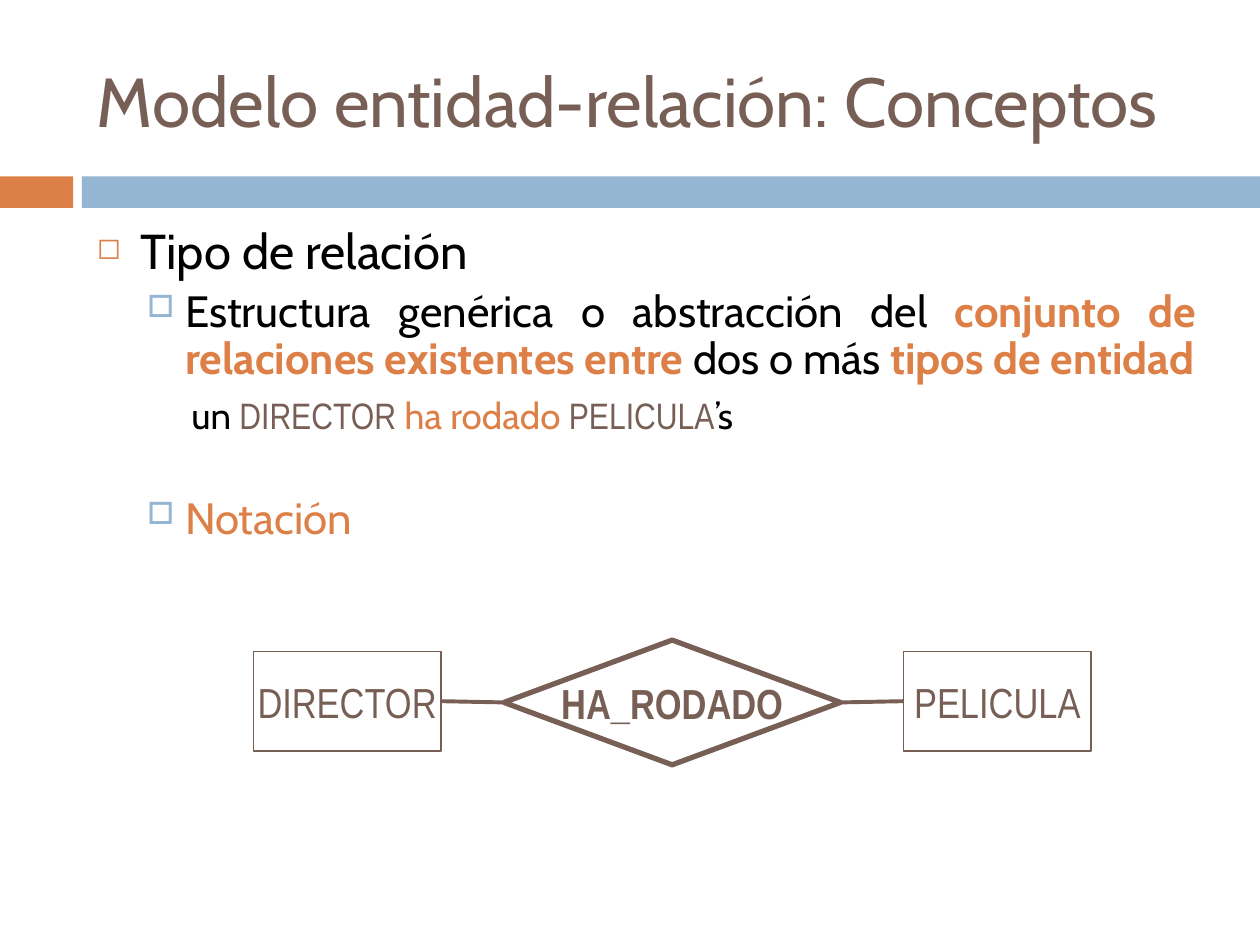
"""Build the slide on relationship types in the entity-relationship model."""
from dataclasses import dataclass

import pptx
import pptx.dml.color
import pptx.enum.shapes
import pptx.enum.text
import pptx.oxml
import pptx.oxml.ns
import pptx.util

Inches = pptx.util.Inches
Pt = pptx.util.Pt
Shape = pptx.enum.shapes.MSO_SHAPE
Align = pptx.enum.text.PP_ALIGN
Anchor = pptx.enum.text.MSO_ANCHOR
BLACK, BROWN, ORANGE, BLUE = "000000", "775F55", "DD8047", "94B6D2"
CABIN, NARROW = "Cabin", "Arial Narrow"


@dataclass
class Piece:
    text: str
    color: str = BLACK
    face: str = CABIN
    bold: bool = False


@dataclass
class Bullet:
    char: str
    color: str
    size: int


@dataclass
class Item:
    pieces: list[Piece]
    size: float
    level: int
    left: float
    hang: float
    before: float
    lines: float = 1.0
    bullet: Bullet | None = None


@dataclass
class Entity:
    name: str
    left: float


SQUARE = Bullet("□", BLUE, 70)
ITEMS = [
    Item([Piece("Tipo de relación")], 28, 0, 0.35, 0.35, 0, 0.9,
         Bullet("◻", ORANGE, 60)),
    Item([Piece("Estructura genérica o abstracción del"),
          Piece(" conjunto de relaciones existentes entre", ORANGE, bold=True),
          Piece(" dos o más "),
          Piece("tipos de entidad", ORANGE, bold=True)],
         25, 1, 0.7, 0.3, 5.5, 0.9, SQUARE),
    Item([Piece("un "), Piece("DIRECTOR ", BROWN, NARROW),
          Piece("ha rodado ", ORANGE), Piece("PELICULA", BROWN, NARROW),
          Piece("’s")], 21, 2, 1, 0.25, 5),
    Item([Piece("Notación", ORANGE)], 25, 1, 0.7, 0.3, 31, 1.0, SQUARE),
]
ENTITIES = [Entity("DIRECTOR", 2.01), Entity("PELICULA", 7.17)]


def rgb(code: str) -> pptx.dml.color.RGBColor:
    """Turn a hex string into a colour."""
    return pptx.dml.color.RGBColor.from_string(code)


def style(font, size: float, color: str, face: str, bold: bool = False) -> None:
    """Set the look of a font."""
    font.size, font.name, font.bold = Pt(size), face, bold
    font.color.rgb = rgb(color)


def add_node(parent, tag: str, **attrs: str):
    """Append an element with attributes to a parent."""
    child = parent.makeelement(pptx.oxml.ns.qn(tag), attrs)
    parent.append(child)
    return child


def add_box(slide, left: float, top: float, width: float, height: float):
    """Add a wrapping text box and return its frame."""
    box = slide.shapes.add_textbox(
        Inches(left), Inches(top), Inches(width), Inches(height))
    box.text_frame.word_wrap = True
    return box.text_frame


def add_label(frame, text: str, size: float, face: str, align,
              bold: bool = False) -> None:
    """Write one brown line of text in a frame."""
    frame.text = text
    para = frame.paragraphs[0]
    para.alignment = align
    style(para.runs[0].font, size, BROWN, face, bold)


def add_item(para, item: Item) -> None:
    """Fill one paragraph of the list."""
    props = para._p.get_or_add_pPr()
    props.set("marL", str(Inches(item.left)))
    props.set("indent", str(-Inches(item.hang)))
    if item.bullet:
        tint = add_node(props, "a:buClr")
        add_node(tint, "a:srgbClr", val=item.bullet.color)
        add_node(props, "a:buSzPct", val=str(item.bullet.size * 1000))
        add_node(props, "a:buChar", char=item.bullet.char)
    else:
        add_node(props, "a:buNone")
    para.level = item.level
    para.alignment = Align.JUSTIFY
    para.line_spacing = item.lines
    para.space_before = Pt(item.before)
    for piece in item.pieces:
        run = para.add_run()
        run.text = piece.text
        style(run.font, item.size, piece.color, piece.face, piece.bold)


def add_shape(slide, kind, left: float, top: float, width: float, height: float,
              fill: str = "", line: float = 0):
    """Add a preset shape, either filled or outlined in brown."""
    shape = slide.shapes.add_shape(
        kind, Inches(left), Inches(top), Inches(width), Inches(height))
    shape.shadow.inherit = False
    if fill:
        shape.fill.solid()
        shape.fill.fore_color.rgb = rgb(fill)
        shape.line.fill.background()
    else:
        shape.fill.background()
        shape.line.color.rgb = rgb(BROWN)
        shape.line.width = Pt(line)
    return shape


def add_entity(slide, entity: Entity):
    """Draw an entity rectangle with its name."""
    shape = add_shape(slide, Shape.RECTANGLE, entity.left, 5.17, 1.49, 0.79,
                      line=0.75)
    frame = shape.text_frame
    frame.word_wrap = False
    frame.vertical_anchor = Anchor.MIDDLE
    frame.margin_left = frame.margin_right = Inches(0.08)
    frame.margin_top = frame.margin_bottom = Inches(0)
    add_label(frame, entity.name, 24, NARROW, Align.CENTER)
    return shape


def join(slide, first, second) -> None:
    """Link the right side of one shape to the left side of the next."""
    link = slide.shapes.add_connector(
        pptx.enum.shapes.MSO_CONNECTOR.STRAIGHT, 0, 0, 0, 0)
    link.begin_connect(first, 3)
    link.end_connect(second, 1)
    link.line.color.rgb = rgb(BROWN)
    link.line.width = Pt(2.25)
    add_node(link._element.spPr, "a:effectLst")


def main() -> None:
    """Build and save the slide."""
    deck = pptx.Presentation()
    deck.slide_width, deck.slide_height = Inches(10), Inches(7.5)
    slide = deck.slides.add_slide(deck.slide_layouts[6])
    add_shape(slide, Shape.RECTANGLE, 0, 1.4, 0.58, 0.25, ORANGE)
    add_shape(slide, Shape.RECTANGLE, 0.65, 1.4, 9.35, 0.25, BLUE)

    title = add_box(slide, 0.67, 0.25, 8.92, 1.08)
    title.vertical_anchor = Anchor.MIDDLE
    add_label(title, "Modelo entidad-relación: Conceptos", 39.6, CABIN, Align.LEFT)

    body = add_box(slide, 0.67, 1.75, 8.92, 5.39)
    for index, item in enumerate(ITEMS):
        add_item(body.add_paragraph() if index else body.paragraphs[0], item)

    left, right = [add_entity(slide, entity) for entity in ENTITIES]
    diamond = add_shape(slide, Shape.DIAMOND, 4, 5.08, 2.67, 0.99, line=3)
    name = add_box(slide, 4.35, 5.37, 1.97, 0.46)
    name.word_wrap = False
    add_label(name, "HA_RODADO", 24, NARROW, Align.CENTER, True)
    name.paragraphs[0].line_spacing = 0.9
    join(slide, left, diamond)
    join(slide, diamond, right)
    deck.save("out.pptx")


if __name__ == "__main__":
    main()
